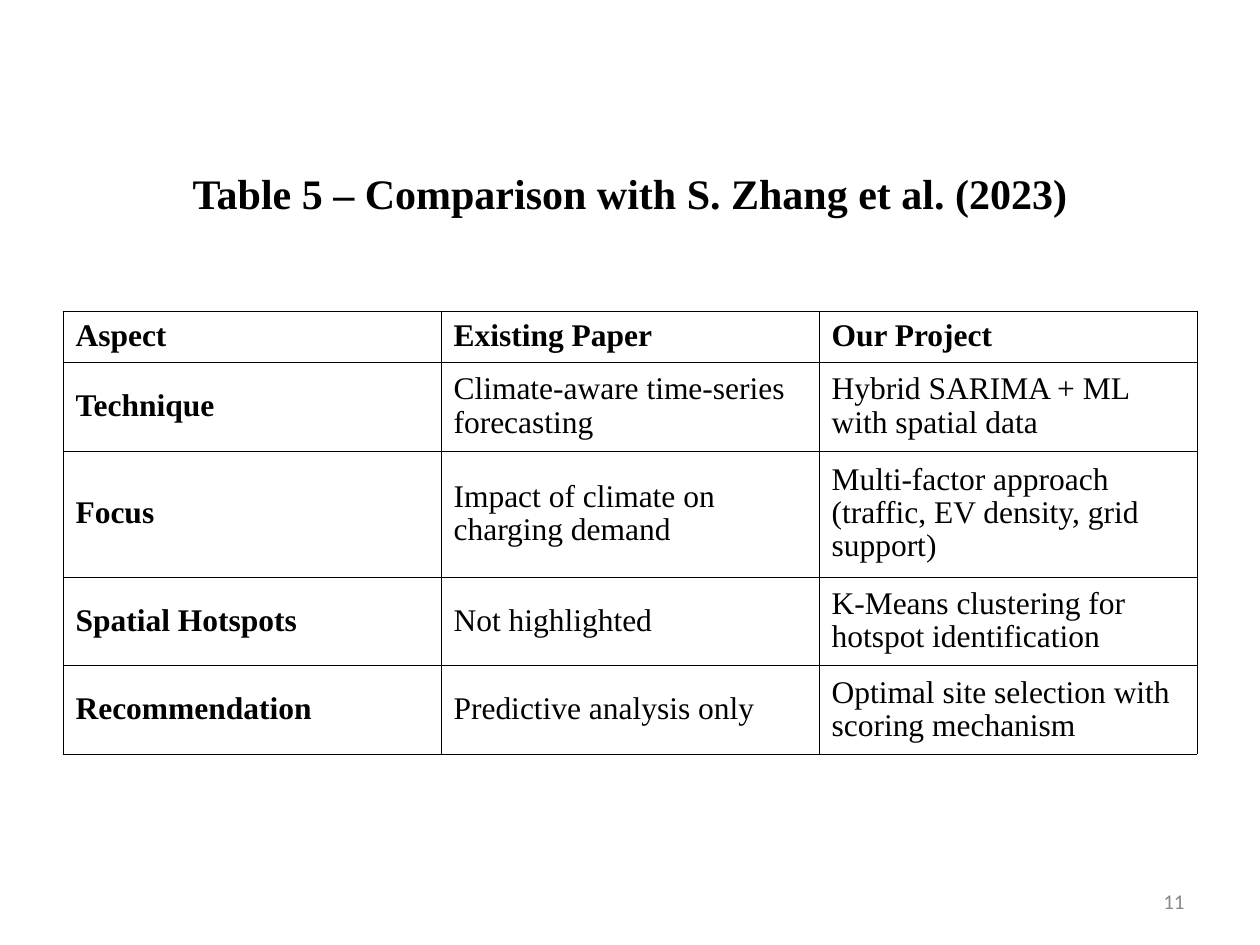
from lxml import etree
from pptx import Presentation
from pptx.dml.color import RGBColor
from pptx.enum.text import MSO_ANCHOR, PP_ALIGN
from pptx.oxml.ns import qn
from pptx.util import Cm, Pt

MIDDLE = MSO_ANCHOR.MIDDLE
LEFT, CENTER, RIGHT = PP_ALIGN.LEFT, PP_ALIGN.CENTER, PP_ALIGN.RIGHT
BLACK = RGBColor(0x00, 0x00, 0x00)
GRAY = RGBColor(0x89, 0x89, 0x89)
SERIF, SANS = "Times New Roman", "Calibri"

TITLE = "Table 5 – Comparison with S. Zhang et al. (2023)"
PAGE_NUMBER = "11"
ROWS = [
    ("Aspect", "Existing Paper", "Our Project"),
    ("Technique", "Climate-aware time-series forecasting",
     "Hybrid SARIMA + ML with spatial data"),
    ("Focus", "Impact of climate on charging demand",
     "Multi-factor approach (traffic, EV density, grid support)"),
    ("Spatial Hotspots", "Not highlighted",
     "K-Means clustering for hotspot identification"),
    ("Recommendation", "Predictive analysis only",
     "Optimal site selection with scoring mechanism"),
]
ROW_HEIGHTS = [Cm(1.03), Cm(1.79), Cm(2.54), Cm(1.79), Cm(1.78)]
MARGIN = Cm(1.27)
CONTENT_WIDTH = Cm(22.86)
TABLE_TOP = Cm(6.27)
BORDER_WIDTH = Pt(0.45)


def write_text(text_frame, text, font_name, size, color, bold=False, align=LEFT):
    text_frame.text = text
    text_frame.word_wrap = True
    paragraph = text_frame.paragraphs[0]
    paragraph.alignment = align
    font = paragraph.runs[0].font
    font.name, font.size, font.bold = font_name, Pt(size), bold
    font.color.rgb = color


def add_borders(cell):
    properties = cell._tc.get_or_add_tcPr()
    for position, side in enumerate(("lnL", "lnR", "lnT", "lnB")):
        line = etree.Element(qn(f"a:{side}"), w=str(BORDER_WIDTH))
        fill = etree.SubElement(line, qn("a:solidFill"))
        etree.SubElement(fill, qn("a:srgbClr"), val=str(BLACK))
        properties.insert(position, line)


def add_title(slide):
    title = slide.shapes.title
    title.left, title.top = MARGIN, Cm(2.29)
    title.width, title.height = CONTENT_WIDTH, Cm(3.18)
    title.text_frame.vertical_anchor = MIDDLE
    write_text(title.text_frame, TITLE, SERIF, 24, BLACK, True, CENTER)


def add_comparison_table(slide):
    column_count = len(ROWS[0])
    table = slide.shapes.add_table(
        len(ROWS), column_count, MARGIN, TABLE_TOP, CONTENT_WIDTH, sum(ROW_HEIGHTS)
    ).table
    table.first_row = table.horz_banding = False
    for row, height in zip(table.rows, ROW_HEIGHTS):
        row.height = height
    for row_index, texts in enumerate(ROWS):
        for column_index, text in enumerate(texts):
            cell = table.cell(row_index, column_index)
            cell.vertical_anchor = MIDDLE
            cell.fill.background()
            is_heading = row_index == 0 or column_index == 0
            write_text(cell.text_frame, text, SERIF, 18, BLACK, is_heading)
            cell.text_frame.paragraphs[0].line_spacing = 0.95
            add_borders(cell)


def add_page_number(slide):
    box = slide.shapes.add_textbox(Cm(18.21), Cm(17.65), Cm(5.92), Cm(1.02))
    box.text_frame.vertical_anchor = MIDDLE
    write_text(box.text_frame, PAGE_NUMBER, SANS, 12, GRAY, align=RIGHT)


def main():
    presentation = Presentation()
    presentation.slide_width, presentation.slide_height = Cm(25.4), Cm(19.05)
    slide = presentation.slides.add_slide(presentation.slide_layouts[5])
    add_title(slide)
    add_comparison_table(slide)
    add_page_number(slide)
    presentation.save("out.pptx")


if __name__ == "__main__":
    main()
